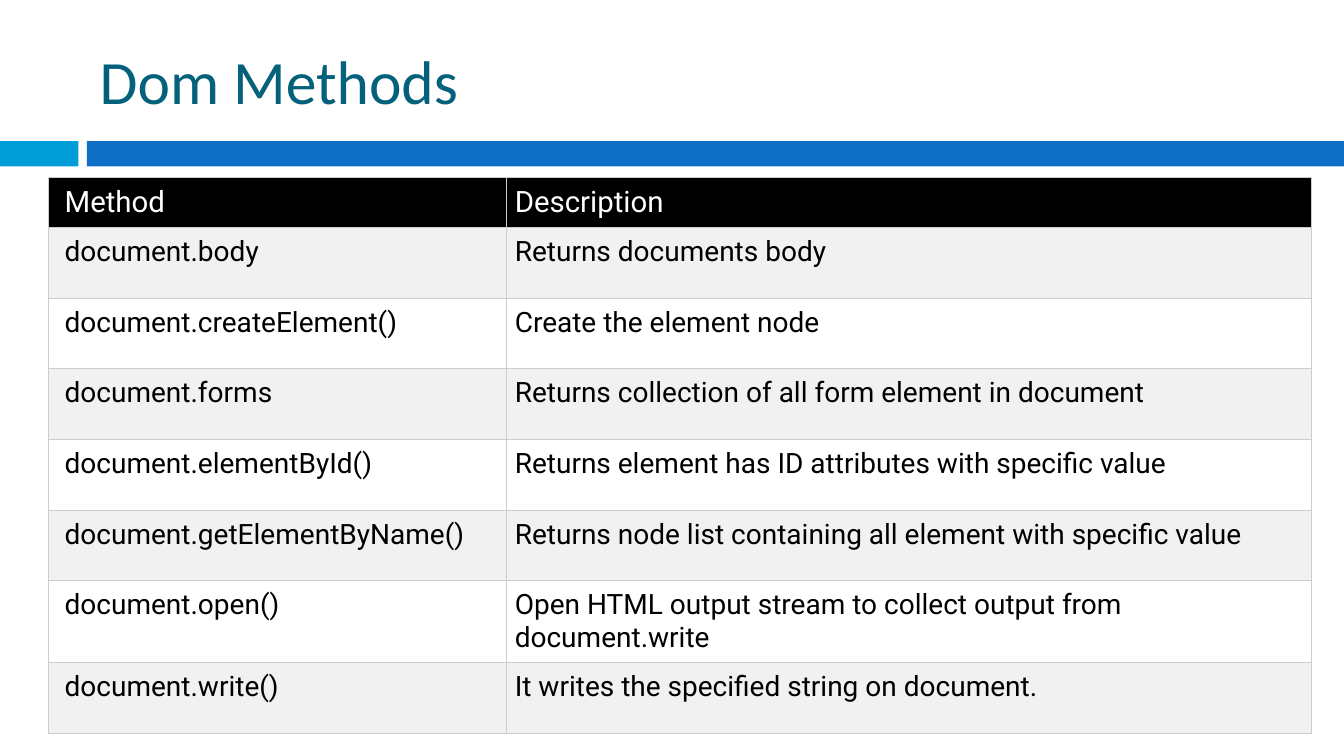
from lxml import etree
from pptx import Presentation
from pptx.dml import color
from pptx.enum import shapes, text
from pptx.oxml import ns
from pptx.util import Pt

METHODS = [
    ("Method", "Description"),
    ("document.body", "Returns documents body"),
    ("document.createElement()", "Create the element node"),
    ("document.forms", "Returns collection of all form element in document"),
    ("document.elementById()", "Returns element has ID attributes with specific value"),
    ("document.getElementByName()",
     "Returns node list containing all element with specific value"),
    ("document.open()", "Open HTML output stream to collect output from document.write"),
    ("document.write()", "It writes the specified string on document."),
]
COLUMN_WIDTHS = (327.3, 575.1)
ROW_HEIGHTS = (35.7, 50.5, 50.5, 50.5, 50.5, 50.5, 58.5, 50.5)
TITLE_FONT = {"name": "Calibri", "size": Pt(44), "bold": False}
HEADER_FONT = {"name": "Roboto", "size": Pt(21), "bold": False}
BODY_FONT = {"name": "Roboto", "size": Pt(20), "bold": False}


def set_values(target, values):
    """Set each named attribute of the target."""
    for name, value in values.items():
        setattr(target, name, value)


def paint(fill, shade):
    """Give a fill one solid colour from a hex string."""
    fill.solid()
    fill.fore_color.rgb = color.RGBColor.from_string(shade)


def write(frame, words, font, shade):
    """Put one left-aligned, formatted paragraph in a text frame."""
    para = frame.paragraphs[0]
    para.alignment = text.PP_ALIGN.LEFT
    span = para.add_run()
    span.text = words
    set_values(span.font, font)
    paint(span.font.fill, shade)


def add_bar(page, left, width, shade):
    """Draw one piece of the band under the title."""
    bar = page.shapes.add_shape(
        shapes.MSO_SHAPE.RECTANGLE, Pt(left), Pt(100.8), Pt(width), Pt(18))
    bar.shadow.inherit = False
    paint(bar.fill, shade)
    bar.line.fill.background()


def add_title(page, words):
    """Place the title placeholder and fill in its text."""
    title = page.shapes.title
    set_values(title, {"left": Pt(64), "top": Pt(18), "width": Pt(856), "height": Pt(78)})
    set_values(title.text_frame, {
        "vertical_anchor": text.MSO_ANCHOR.MIDDLE, "word_wrap": True,
        "auto_size": text.MSO_AUTO_SIZE.NONE})
    write(title.text_frame, words, TITLE_FONT, "04617B")


def outline(cell, shade, width):
    """Draw a thin border on all four sides of a cell."""
    properties = cell._tc.get_or_add_tcPr()
    for place, side in enumerate(("lnL", "lnR", "lnT", "lnB")):
        line = etree.Element(ns.qn(f"a:{side}"), w=str(Pt(width)))
        fill = etree.SubElement(line, ns.qn("a:solidFill"))
        etree.SubElement(fill, ns.qn("a:srgbClr"), val=shade)
        properties.insert(place, line)


def add_methods_table(page):
    """Build the table of methods with shaded alternate rows."""
    frame = page.shapes.add_table(
        len(METHODS), len(COLUMN_WIDTHS), Pt(34.7), Pt(126.4),
        Pt(sum(COLUMN_WIDTHS)), Pt(sum(ROW_HEIGHTS)))
    table = frame.table
    for column, width in zip(table.columns, COLUMN_WIDTHS):
        column.width = Pt(width)
    for number, (row, height, entries) in enumerate(zip(table.rows, ROW_HEIGHTS, METHODS)):
        row.height = Pt(height)
        header = number == 0
        shade = "000000" if header else ("FFFFFF", "F1F1F1")[number % 2]
        for cell, words, inset in zip(row.cells, entries, (11.5, 5.75)):
            set_values(cell, {
                "margin_left": Pt(inset), "margin_right": Pt(5.75),
                "margin_top": Pt(5.75), "margin_bottom": Pt(5.75),
                "vertical_anchor": text.MSO_ANCHOR.TOP})
            paint(cell.fill, shade)
            outline(cell, "CCCCCC", 0.75)
            write(cell.text_frame, words, HEADER_FONT if header else BODY_FONT,
                  "FFFFFF" if header else "000000")


def main():
    """Build and save the slide about document methods."""
    deck = Presentation()
    set_values(deck, {"slide_width": Pt(960), "slide_height": Pt(540)})
    page = deck.slides.add_slide(deck.slide_layouts.get_by_name("Title Only"))
    add_bar(page, 0, 56, "009DD9")
    add_bar(page, 62, 898, "0F6FC6")
    add_title(page, "Dom Methods")
    add_methods_table(page)
    deck.save("out.pptx")


if __name__ == "__main__":
    main()
